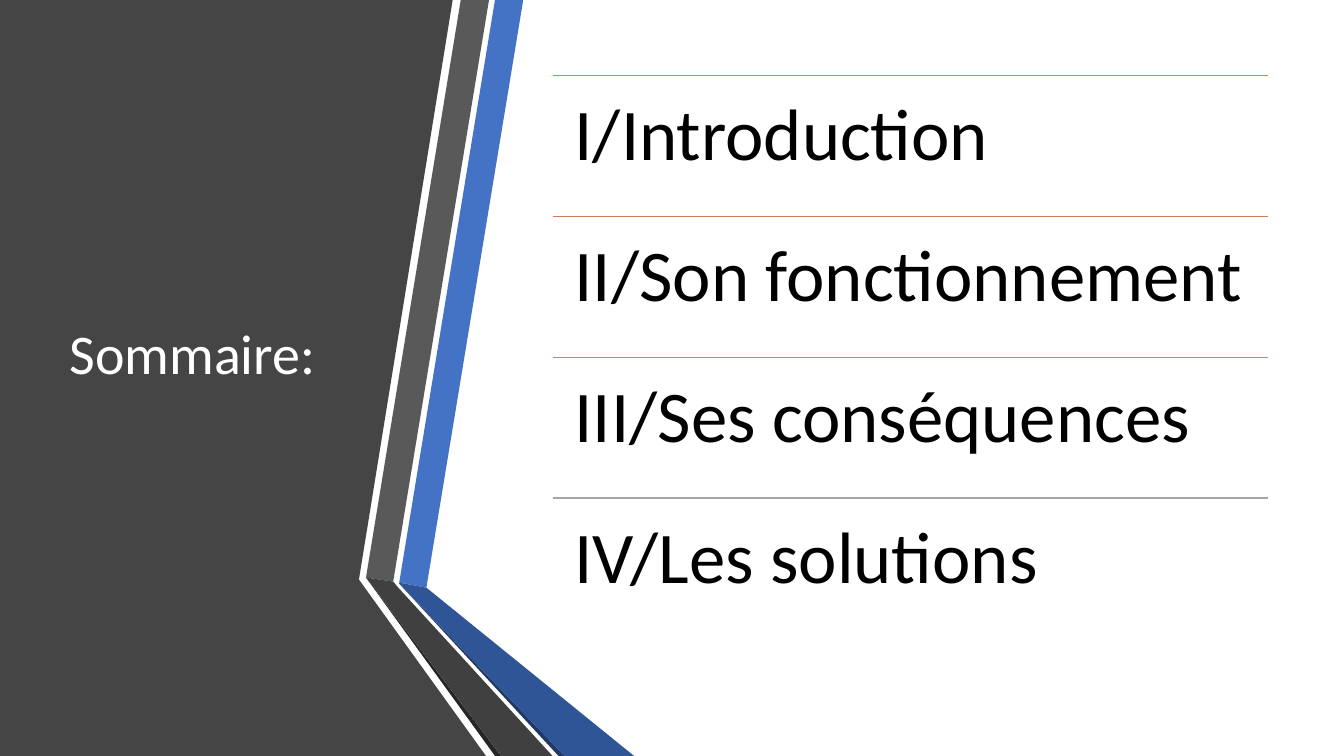
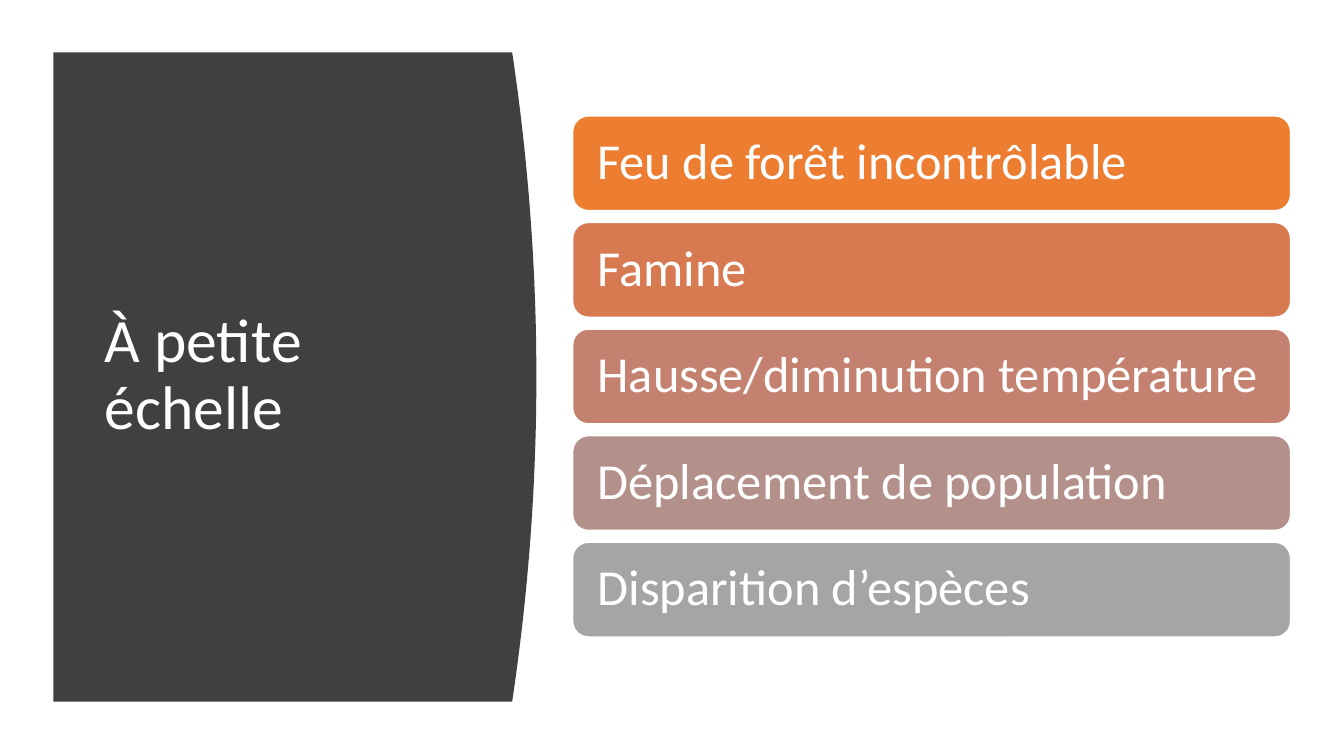
"""Build the summary slide and the small-scale consequences slide."""
from dataclasses import dataclass

from lxml.etree import SubElement
from pptx import Presentation
from pptx.dml.color import RGBColor
from pptx.enum.shapes import MSO_CONNECTOR, MSO_SHAPE
from pptx.enum.text import MSO_ANCHOR, PP_ALIGN
from pptx.oxml.ns import qn
from pptx.util import Inches, Pt


@dataclass(frozen=True)
class Theme:
    font: str = "Calibri"
    white: str = "FFFFFF"
    black: str = "000000"
    panel: str = "454545"
    dark: str = "404040"
    grey: str = "595959"
    grey_shade: str = "262626"
    blue: str = "4472C4"
    blue_dark: str = "2F5597"
    blue_shade: str = "203864"
    rules: tuple = ("ED7D31", "D17B5C", "B98A82", "A5A5A5")
    bars: tuple = ("ED7D31", "D87A51", "C48170", "B4908B", "A5A5A5")
    summary_title: int = 40
    scale_title: int = 44
    summary_item: int = 52
    bar_item: int = 36
    line: int = 1


def write(tf, text, *, font, size, color, anchor=MSO_ANCHOR.MIDDLE,
          inset=(0.1, 0.05), spacing=0.9):
    tf.word_wrap = True
    tf.vertical_anchor = anchor
    tf.margin_left = tf.margin_right = Inches(inset[0])
    tf.margin_top = tf.margin_bottom = Inches(inset[1])
    p = tf.paragraphs[0]
    p.alignment = PP_ALIGN.LEFT
    p.line_spacing = spacing
    r = p.add_run()
    r.text = text
    r.font.name = font
    r.font.size = Pt(size)
    r.font.color.rgb = RGBColor.from_string(color)


class Deck:
    def __init__(self, theme):
        self.theme = theme
        self.prs = Presentation()
        self.prs.slide_width = Inches(13.33)
        self.prs.slide_height = Inches(7.5)
        self.s = None

    def slide(self):
        self.s = self.prs.slides.add_slide(self.prs.slide_layouts[6])

    def paint(self, sp, fill, line=None):
        sp.shadow.inherit = False
        sp.fill.solid()
        sp.fill.fore_color.rgb = RGBColor.from_string(fill)
        if line:
            sp.line.color.rgb = RGBColor.from_string(line)
            sp.line.width = Pt(self.theme.line)
        else:
            sp.line.fill.background()

    def polygon(self, points, fill):
        start, *rest = [(Inches(x), Inches(y)) for x, y in points]
        builder = self.s.shapes.build_freeform(*start, scale=1.0)
        builder.add_line_segments(rest, close=True)
        self.paint(builder.convert_to_shape(), fill)

    def text(self, box, text, **style):
        sp = self.s.shapes.add_textbox(*map(Inches, box))
        write(sp.text_frame, text, font=self.theme.font, **style)

    def title(self, box, text, size):
        self.text(box, text, size=size, color=self.theme.white)

    def rule(self, x, y, width, color):
        cx = self.s.shapes.add_connector(
            MSO_CONNECTOR.STRAIGHT, Inches(x), Inches(y), Inches(x + width), Inches(y))
        cx.line.color.rgb = RGBColor.from_string(color)
        cx.line.width = Pt(self.theme.line)
        SubElement(cx.element.spPr, qn("a:effectLst"))

    def bar(self, box, text, fill):
        sp = self.s.shapes.add_shape(MSO_SHAPE.ROUNDED_RECTANGLE, *map(Inches, box))
        self.paint(sp, fill, self.theme.white)
        write(sp.text_frame, text, font=self.theme.font, size=self.theme.bar_item,
              color=self.theme.white, inset=(0.2, 0.2))


def summary(deck):
    t = deck.theme
    deck.slide()
    ribbons = (
        (t.panel, [(0, 0), (4.49, 0), (3.56, 5.75), (4.82, 7.5), (0, 7.5)]),
        (t.blue, [(3.96, 5.78), (4.23, 5.83), (5.19, 0), (4.91, 0)]),
        (t.grey, [(4.85, 0), (4.57, 0), (3.63, 5.73), (3.9, 5.77)]),
        (t.grey_shade, [(3.63, 5.73), (4.91, 7.5), (4.97, 7.5)]),
        (t.blue_shade, [(3.96, 5.79), (5.54, 7.5), (5.6, 7.5)]),
        (t.blue_dark, [(3.96, 5.78), (3.96, 5.79), (5.6, 7.5), (6.29, 7.5), (4.23, 5.83)]),
        (t.dark, [(5.48, 7.5), (3.95, 5.83), (3.9, 5.77), (3.63, 5.73), (4.97, 7.5)]),
    )
    for fill, points in ribbons:
        deck.polygon(points, fill)
    deck.title((0.59, 0.75, 3.04, 5.58), "Sommaire:", t.summary_title)

    items = ("I/Introduction", "II/Son fonctionnement",
             "III/Ses conséquences", "IV/Les solutions")
    left, top, width, height = 5.48, 0.75, 7.1, 5.59
    step = height / len(items)
    for i, (item, color) in enumerate(zip(items, t.rules)):
        y = top + i * step
        deck.rule(left, y, width, color)
        deck.text((left, y, width, step), item, size=t.summary_item, color=t.black,
                  anchor=MSO_ANCHOR.TOP, inset=(0.22, 0.22))


def small_scale(deck):
    t = deck.theme
    deck.slide()
    left, top, edge, bottom, bulge = 0.53, 0.52, 5.08, 6.96, 0.24
    n = 48
    curve = [(edge + bulge * (1 - (2 * i / n - 1) ** 2), top + (bottom - top) * i / n)
             for i in range(n + 1)]
    deck.polygon([(left, top), *curve, (left, bottom)], t.dark)
    deck.title((0.94, 1.11, 3.74, 5.24), "À petite échelle", t.scale_title)

    items = ("Feu de forêt incontrôlable", "Famine", "Hausse/diminution température",
             "Déplacement de population", "Disparition d’espèces")
    first, last, height = 1.15, 5.38, 0.94
    step = (last - first) / (len(items) - 1)
    for i, (item, fill) in enumerate(zip(items, t.bars)):
        deck.bar((5.68, first + i * step, 7.12, height), item, fill)


def main():
    deck = Deck(Theme())
    summary(deck)
    small_scale(deck)
    deck.prs.save("out.pptx")


if __name__ == "__main__":
    main()
